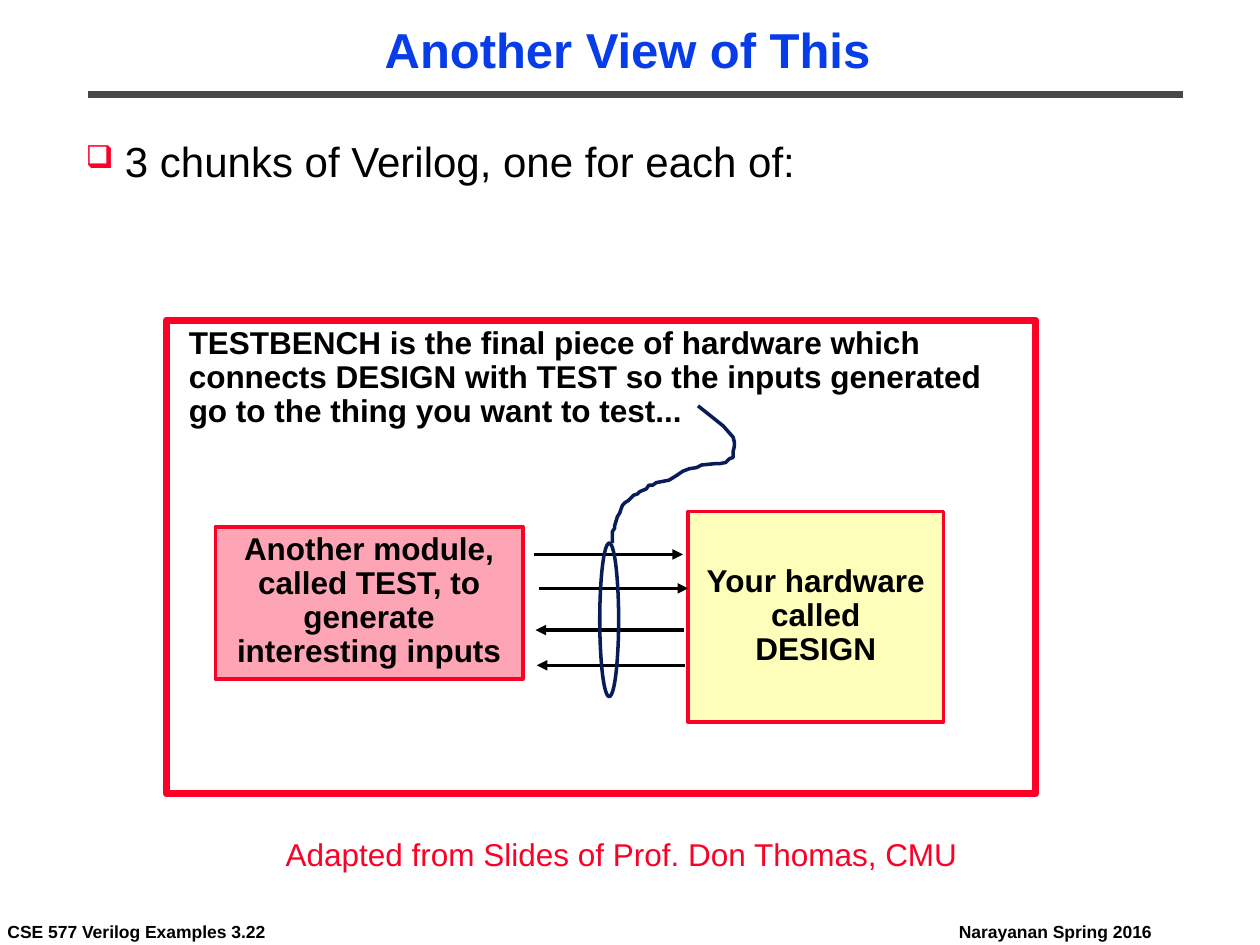
from lxml import etree
from pptx import Presentation
from pptx.dml.color import RGBColor
from pptx.enum.shapes import MSO_CONNECTOR as Connector, MSO_SHAPE as Preset
from pptx.enum.text import MSO_ANCHOR as Anchor, PP_ALIGN as Align
from pptx.oxml.ns import qn
from pptx.util import Pt

FONT = "Arial"
BLACK, RED, BLUE, NAVY = "000000", "FC0128", "063DE8", "081D58"
GREY, YELLOW, PINK = "484848", "FCFEB9", "FDA4B5"

# Curve from the TESTBENCH text to the wires, relative to its top left corner
CURVE = [
    (49, 0), (63.4, 11.5), (69.1, 18), (69.8, 20.9), (69.8, 23), (69.1, 25.9),
    (69.1, 29.5), (67, 30.2), (64.8, 32.4), (61.2, 33.1), (58.3, 33.1),
    (51.1, 33.8), (48.2, 35.3), (43.9, 36), (40.3, 37.4), (36, 40.3),
    (32.4, 42.5), (28.8, 43.2), (25.2, 43.9), (23, 45.4), (20.9, 45.4),
    (19.4, 47.5), (15.8, 49), (14.4, 50.4), (12.2, 51.1), (9.4, 54),
    (7.2, 55.4), (5.8, 56.9), (5, 59), (4.3, 61.2), (2.9, 63.4),
    (1.4, 68.4), (1.4, 69.8), (0, 72), (0, 78.5),
]


def color(value):
    return RGBColor.from_string(value)


def set_line(shape, value, width):
    shape.line.color.rgb = color(value)
    shape.line.width = Pt(width)


def write(shape, lines, size, value=BLACK, bold=False, align=Align.LEFT,
          anchor=Anchor.TOP, spacing=None, wrap=False, inset=(7.2, 3.6)):
    frame = shape.text_frame
    frame.word_wrap = wrap
    frame.vertical_anchor = anchor
    frame.margin_left = frame.margin_right = Pt(inset[0])
    frame.margin_top = frame.margin_bottom = Pt(inset[1])
    for index, line in enumerate(lines):
        paragraph = frame.add_paragraph() if index else frame.paragraphs[0]
        paragraph.alignment = align
        paragraph.line_spacing = spacing
        run = paragraph.add_run()
        run.text = line
        run.font.name = FONT
        run.font.size = Pt(size)
        run.font.bold = bold
        run.font.color.rgb = color(value)


def add_text(slide, box, lines, size, **style):
    shape = slide.shapes.add_textbox(*map(Pt, box))
    write(shape, lines, size, **style)
    return shape


def add_preset(slide, preset, box, line, width, fill=None):
    shape = slide.shapes.add_shape(preset, *map(Pt, box))
    shape.shadow.inherit = False
    if fill:
        shape.fill.solid()
        shape.fill.fore_color.rgb = color(fill)
    else:
        shape.fill.background()
    set_line(shape, line, width)
    return shape


def add_line(slide, x, y, length, value, width, arrow=None):
    line = slide.shapes.add_connector(
        Connector.STRAIGHT, Pt(x), Pt(y), Pt(x + length), Pt(y))
    set_line(line, value, width)
    properties = line._element.spPr
    if arrow:
        end = etree.SubElement(properties.find(qn("a:ln")), qn(f"a:{arrow}"))
        end.set("type", "triangle")
    etree.SubElement(properties, qn("a:effectLst"))


def add_header(slide, left, top, width, height):
    add_text(slide, (left, top, width, height), ["Another View of This"], 28,
             value=BLUE, bold=True, align=Align.CENTER, anchor=Anchor.MIDDLE,
             spacing=0.87, wrap=True)
    add_line(slide, left + 1.4, top + 41.8, 625.7, GREY, 4.5)


def add_bullet(slide, left, top, width, height):
    shape = add_text(slide, (left, top, width, height),
                     ["3 chunks of Verilog, one for each of:"], 24, wrap=True)
    properties = shape.text_frame.paragraphs[0]._p.get_or_add_pPr()
    properties.set("marL", str(Pt(22.5)))
    properties.set("indent", str(-Pt(22.5)))
    bullet_color = etree.SubElement(properties, qn("a:buClr"))
    etree.SubElement(bullet_color, qn("a:srgbClr")).set("val", RED)
    etree.SubElement(properties, qn("a:buSzPct")).set("val", "75000")
    etree.SubElement(properties, qn("a:buChar")).set("char", "❑")


def add_wires(slide, left, top):
    # Inputs run to DESIGN, outputs run back to TEST
    for x, y, arrow in [(0, 0, "tailEnd"), (2.9, 19.4, "tailEnd"),
                        (0.7, 43.2, "headEnd"), (1.4, 63.4, "headEnd")]:
        add_line(slide, left + x, top + y, 85, BLACK, 2, arrow)


def add_curve(slide, left, top):
    points = [(Pt(left + x), Pt(top + y)) for x, y in CURVE]
    builder = slide.shapes.build_freeform(*points[0])
    builder.add_line_segments(points[1:], close=False)
    curve = builder.convert_to_shape()
    curve.shadow.inherit = False
    curve.fill.background()
    set_line(curve, NAVY, 2)


def add_testbench(slide, left, top, width, height):
    block = dict(bold=True, spacing=0.9)

    # DESIGN block
    design = add_preset(slide, Preset.RECTANGLE,
                        (left + 298.1, top + 109.4, 146.2, 120.2),
                        RED, 2, YELLOW)
    write(design, ["Your hardware", "called", "DESIGN"], 18,
          align=Align.CENTER, anchor=Anchor.MIDDLE, **block)

    # TESTBENCH frame and its text
    add_preset(slide, Preset.RECTANGLE, (left, top, width, height), RED, 4)
    add_text(slide, (left + 5.8, top + 0.7, 467.3, 65.5),
             ["TESTBENCH is the final piece of hardware which",
              "connects DESIGN with TEST so the inputs generated",
              "go to the thing you want to test..."], 18, **block)

    # Wires, with the curve and ring that point them out
    add_wires(slide, left + 210.3, top + 133.9)
    add_curve(slide, left + 254.9, top + 49)
    add_preset(slide, Preset.OVAL, (left + 247.7, top + 127.4, 10.8, 87.8),
               NAVY, 2)

    # TEST block
    test = add_preset(slide, Preset.RECTANGLE,
                      (left + 28.1, top + 118.1, 175.7, 87.1), RED, 2, PINK)
    write(test, ["Another module, called TEST, to generate interesting inputs"],
          18, align=Align.CENTER, wrap=True, **block)


def add_credit(slide, left, top, width, height):
    add_text(slide, (left, top, width, height),
             ["Adapted from Slides of Prof. Don Thomas, CMU"], 18, value=RED)


def add_footer(slide, left, top, width, height):
    note = dict(bold=True, inset=(5, 2.2))
    add_text(slide, (left, top, 159.8, height),
             ["CSE 577 Verilog Examples 3.22"], 10, **note)
    add_text(slide, (left + width - 121, top, 121, height),
             ["Narayanan Spring 2016"], 10, **note)


def main():
    presentation = Presentation()
    presentation.slide_width = Pt(720)
    presentation.slide_height = Pt(540)
    slide = presentation.slides.add_slide(presentation.slide_layouts[6])
    add_footer(slide, -0.7, 524.2, 664.6, 15.8)
    add_header(slide, 49, 12.2, 619.2, 36.7)
    add_bullet(slide, 41.8, 74, 642.2, 35)
    add_testbench(slide, 95, 182.9, 496.8, 270.7)
    add_credit(slide, 156.2, 473.8, 398.2, 28.8)
    presentation.save("out.pptx")


if __name__ == "__main__":
    main()
